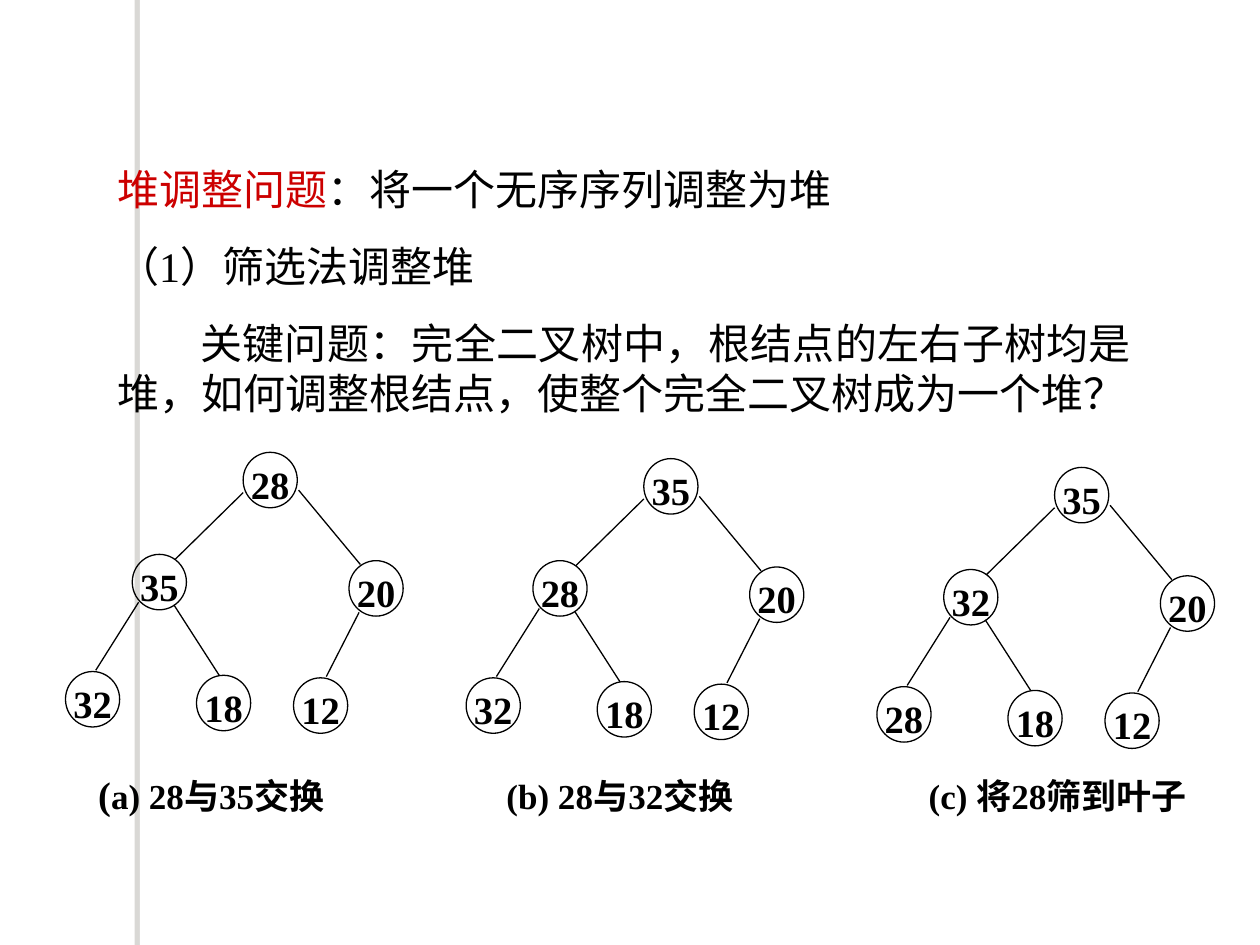
from lxml.etree import SubElement
from pptx import Presentation
from pptx.dml.color import RGBColor
from pptx.enum.shapes import MSO_CONNECTOR, MSO_SHAPE
from pptx.enum.text import MSO_ANCHOR, PP_ALIGN
from pptx.oxml.ns import qn
from pptx.util import Inches, Pt

BLACK = RGBColor(0x00, 0x00, 0x00)
WHITE = RGBColor(0xFF, 0xFF, 0xFF)
RED = RGBColor(0xCC, 0x00, 0x00)
SHADOW = RGBColor(0x70, 0x6B, 0x5F)
FONT = "Times New Roman"
SLIDE_WIDTH, SLIDE_HEIGHT = Inches(10), Inches(7.5)
COLUMNS, ROWS = 100, 75
NODE_WIDTH, NODE_HEIGHT = 4.3, 4.4

NODE_PLACES = [(19.3, 35.9), (10.5, 44.0), (27.7, 44.5), (5.2, 53.3), (15.6, 53.6), (23.3, 53.8)]
EDGES = [
    (19.3, 39.1, 13.9, 44.4),
    (23.7, 38.9, 28.6, 44.8),
    (11.0, 47.8, 7.6, 53.2),
    (13.8, 48.0, 17.4, 53.6),
    (28.5, 48.6, 25.9, 53.7),
]
TREES = [
    ((0, 0), [28, 35, 20, 32, 18, 12]),
    ((31.8, 0.5), [35, 28, 20, 32, 18, 12]),
    ((64.4, 1.2), [35, 32, 20, 28, 18, 12]),
]
CAPTIONS = [
    ((7.6, 60.0, 19.4, 5.0), [("(", 22), ("a) 28与35交换", 20)]),
    ((40.0, 60.3, 19.7, 4.6), [("(b) 28与32交换", 20)]),
    ((73.5, 60.3, 22.2, 4.8), [("(c) 将28筛到叶子", 20)]),
]
BODY = [
    ([("堆调整问题", RED), ("：将一个无序序列调整为堆", BLACK)], 0),
    ([("（1）筛选法调整堆", BLACK)], 0),
    ([("关键问题：完全二叉树中，根结点的左右子树均是堆，如何调整根结点，使整个完全二叉树成为一个堆？", BLACK)], 6.6),
]


def grid(*lengths):
    steps = (SLIDE_WIDTH / COLUMNS, SLIDE_HEIGHT / ROWS)
    return [round(length * steps[index % 2]) for index, length in enumerate(lengths)]


def add_text(paragraph, text, size=24, color=BLACK, bold=False):
    run = paragraph.add_run()
    run.text = text
    run.font.name = FONT
    run.font.size = Pt(size)
    run.font.bold = bold
    run.font.color.rgb = color


def set_margins(frame, left, top, right, bottom):
    frame.margin_left, frame.margin_top = Inches(left), Inches(top)
    frame.margin_right, frame.margin_bottom = Inches(right), Inches(bottom)


def add_stripe(slide):
    stripe = slide.shapes.add_shape(MSO_SHAPE.RECTANGLE, *grid(11.1, 0, 0.8, ROWS))
    stripe.fill.solid()
    stripe.fill.fore_color.rgb = WHITE
    stripe.line.fill.background()
    effects = SubElement(stripe.element.spPr, qn("a:effectLst"))
    shadow = SubElement(effects, qn("a:outerShdw"), dist=str(Pt(3)), dir="10800000", algn="ctr", rotWithShape="0")
    color = SubElement(shadow, qn("a:srgbClr"), val=str(SHADOW))
    SubElement(color, qn("a:alpha"), val="25000")
    return stripe


def fill_body(body):
    body.left, body.top, body.width, body.height = grid(8.3, 12.5, 82.5, 25.2)
    frame = body.text_frame
    set_margins(frame, 0.1, 0.05, 0.1, 0.05)
    for index, (runs, indent) in enumerate(BODY):
        paragraph = frame.add_paragraph() if index else frame.paragraphs[0]
        properties = paragraph._p.get_or_add_pPr()
        properties.set("marL", "0")
        properties.set("indent", str(grid(indent)[0]))
        SubElement(properties, qn("a:buNone"))
        paragraph.alignment = PP_ALIGN.JUSTIFY
        paragraph.space_before = Pt(15 if index else 0)
        for text, color in runs:
            add_text(paragraph, text, color=color)


def add_node(slide, left, top, value):
    node = slide.shapes.add_shape(MSO_SHAPE.OVAL, *grid(left, top, NODE_WIDTH, NODE_HEIGHT))
    node.shadow.inherit = False
    node.fill.background()
    node.line.color.rgb = BLACK
    node.line.width = Pt(0.75)
    frame = node.text_frame
    frame.word_wrap = False
    frame.vertical_anchor = MSO_ANCHOR.MIDDLE
    set_margins(frame, 0, 0.06, 0, 0)
    paragraph = frame.paragraphs[0]
    paragraph.alignment = PP_ALIGN.CENTER
    add_text(paragraph, str(value), size=22, bold=True)


def add_edge(slide, *ends):
    edge = slide.shapes.add_connector(MSO_CONNECTOR.STRAIGHT, *grid(*ends))
    edge.line.color.rgb = BLACK
    edge.line.width = Pt(0.75)
    SubElement(edge._element.spPr, qn("a:effectLst"))


def add_tree(slide, offset, values):
    across, down = offset
    for (left, top), value in zip(NODE_PLACES, values):
        add_node(slide, left + across, top + down, value)
    for start_x, start_y, end_x, end_y in EDGES:
        add_edge(slide, start_x + across, start_y + down, end_x + across, end_y + down)


def add_caption(slide, place, runs):
    frame = slide.shapes.add_textbox(*grid(*place)).text_frame
    frame.word_wrap = True
    set_margins(frame, 0.02, 0.12, 0.02, 0.01)
    paragraph = frame.paragraphs[0]
    paragraph.alignment = PP_ALIGN.JUSTIFY
    for text, size in runs:
        add_text(paragraph, text, size=size, bold=True)


def main():
    presentation = Presentation()
    presentation.slide_width, presentation.slide_height = SLIDE_WIDTH, SLIDE_HEIGHT
    slide = presentation.slides.add_slide(presentation.slide_layouts[1])
    title, body = slide.placeholders
    title.element.getparent().remove(title.element)
    stripe = add_stripe(slide)
    body.element.addprevious(stripe.element)
    fill_body(body)
    for offset, values in TREES:
        add_tree(slide, offset, values)
    for place, runs in CAPTIONS:
        add_caption(slide, place, runs)
    presentation.save("out.pptx")


if __name__ == "__main__":
    main()
